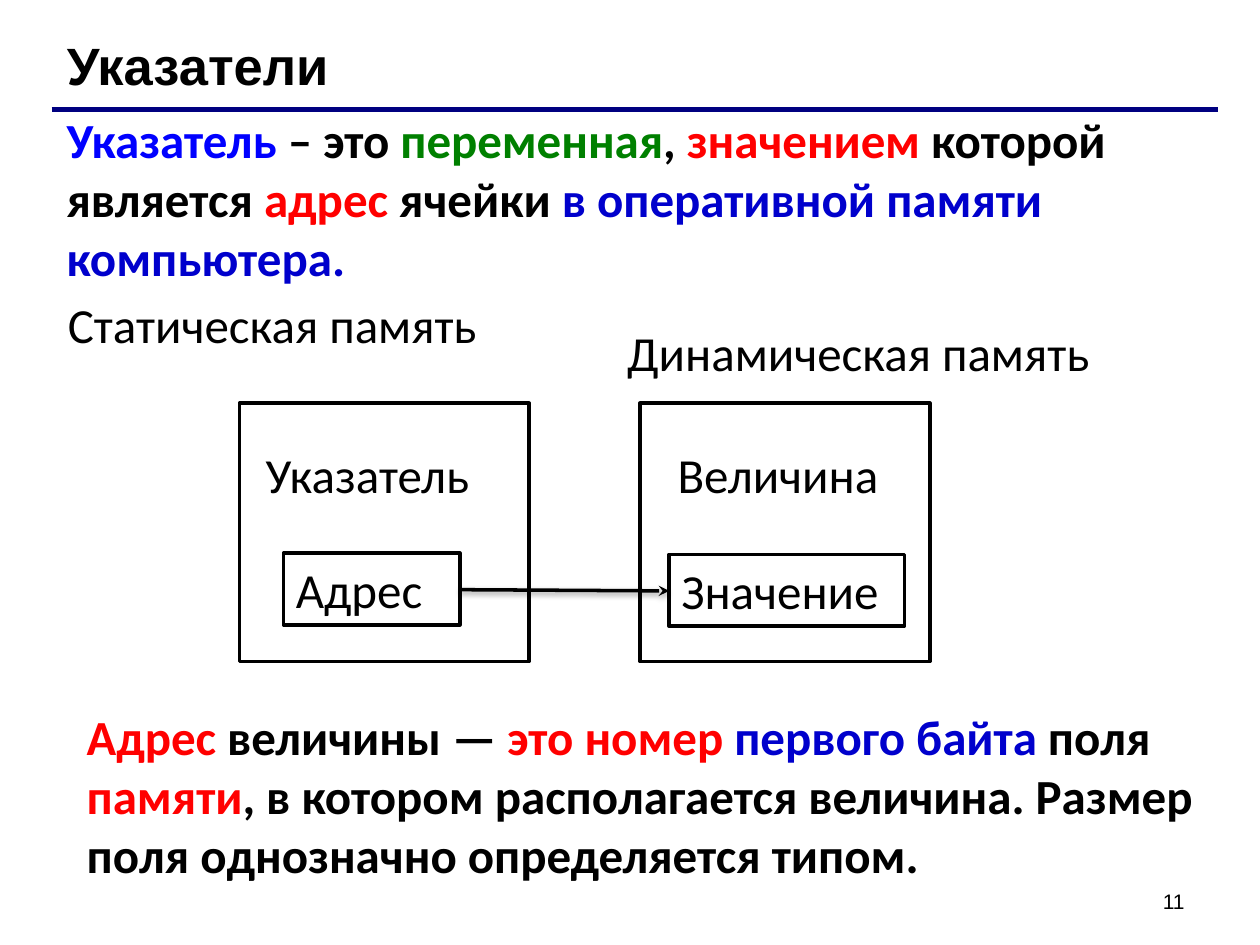
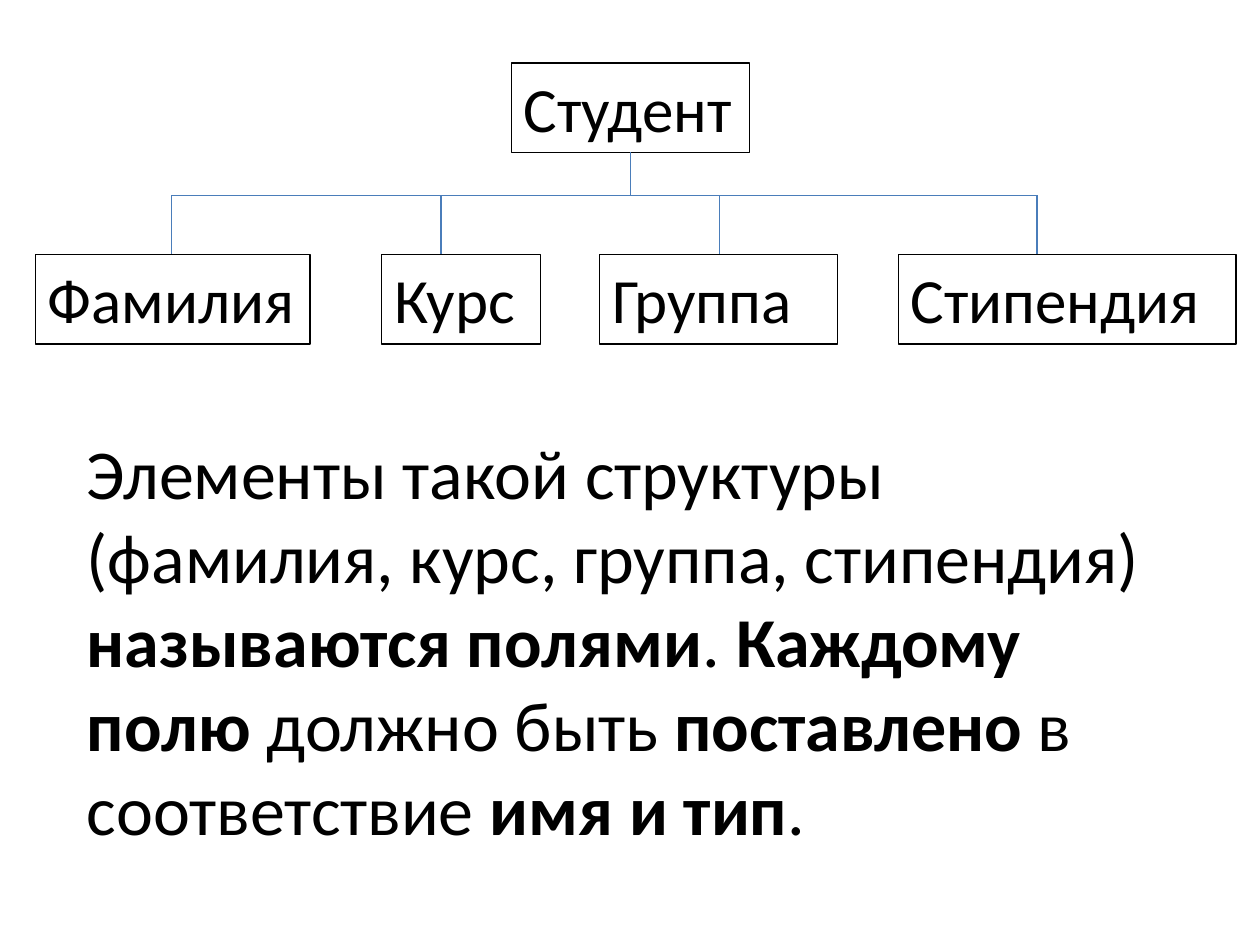
from collections import namedtuple

from lxml import etree
from pptx import Presentation
from pptx.dml.color import RGBColor
from pptx.enum.shapes import MSO_CONNECTOR, MSO_SHAPE
from pptx.enum.text import MSO_ANCHOR, PP_ALIGN
from pptx.oxml import parse_xml
from pptx.oxml.ns import nsdecls, qn
from pptx.util import Inches, Pt

STRAIGHT = MSO_CONNECTOR.STRAIGHT
RECTANGLE = MSO_SHAPE.RECTANGLE
TOP, MIDDLE = MSO_ANCHOR.TOP, MSO_ANCHOR.MIDDLE
LEFT, RIGHT = PP_ALIGN.LEFT, PP_ALIGN.RIGHT

BLACK = RGBColor(0, 0, 0)
WHITE = RGBColor(255, 255, 255)
NAVY = RGBColor(0, 0, 0x80)
BLUE = RGBColor(0, 0, 255)
DARK_BLUE = RGBColor(0, 0, 0xCC)
GREEN = RGBColor(0, 0x80, 0)
RED = RGBColor(255, 0, 0)
TREE_BLUE = RGBColor(0x4A, 0x7D, 0xBA)

HEAD_FONT, BODY_FONT = "Arial", "Calibri"
TITLE_ONLY, BLANK = 5, 6

# A span is a stretch of text with one colour and weight.
Span = namedtuple("Span", "text color bold", defaults=(BLACK, False))


class Box(namedtuple("Box", "left top width height")):
    def inner(self, left, top, width, height):
        """A box placed relative to this one's top left corner."""
        return Box(self.left + left, self.top + top, width, height)

    def inches(self):
        return [Inches(length) for length in self]


def bold(text, color=BLACK):
    return Span(text, color, True)


def write(frame, paragraphs, size, font=BODY_FONT, align=LEFT, anchor=TOP, hanging=0):
    """Fill a text frame with paragraphs, each a list of spans."""
    frame.word_wrap = True
    frame.vertical_anchor = anchor
    for index, spans in enumerate(paragraphs):
        para = frame.add_paragraph() if index else frame.paragraphs[0]
        para.alignment = align
        if hanging:
            properties = para._p.get_or_add_pPr()
            properties.set("marL", str(Inches(hanging)))
            properties.set("indent", str(-Inches(hanging)))
        for span in spans:
            run = para.add_run()
            run.text = span.text
            run.font.name = font
            run.font.size = Pt(size)
            run.font.bold = span.bold
            run.font.color.rgb = span.color


def add_text(page, box, paragraphs, size, **style):
    write(page.shapes.add_textbox(*box.inches()).text_frame, paragraphs, size, **style)


def add_frame(page, box, weight, fill=None, text="", size=28):
    shape = page.shapes.add_shape(RECTANGLE, *box.inches())
    shape.shadow.inherit = False
    shape.line.color.rgb = BLACK
    shape.line.width = Pt(weight)
    if fill is None:
        shape.fill.background()
    else:
        shape.fill.solid()
        shape.fill.fore_color.rgb = fill
    if text:
        write(shape.text_frame, [[Span(text)]], size)


def add_line(page, start, end, color, weight):
    line = page.shapes.add_connector(STRAIGHT, *map(Inches, start + end))
    line.line.color.rgb = color
    line.line.width = Pt(weight)
    etree.SubElement(line._element.spPr, qn("a:effectLst"))
    return line


def add_arrow(page, start, end):
    """Draw a stealth-headed arrow with a soft shadow below."""
    arrow = add_line(page, start, end, BLACK, 2)
    etree.SubElement(arrow.line._get_or_add_ln(), qn("a:tailEnd"), type="stealth")
    arrow._element.spPr.find(qn("a:effectLst")).append(parse_xml(
        f'<a:outerShdw {nsdecls("a")} blurRad="40000" dist="20000" dir="5400000" '
        'rotWithShape="0"><a:srgbClr val="000000"><a:alpha val="38000"/>'
        '</a:srgbClr></a:outerShdw>'))


def add_header(page, box, text):
    title = page.shapes.title
    title.left, title.top, title.width, title.height = box.inches()
    write(title.text_frame, [[bold(text)]], 30, font=HEAD_FONT)
    rule_y = box.top + 0.66
    add_line(page, (0.41, rule_y), (9.67, rule_y), NAVY, 3)


def add_memory(page, box, caption, caption_box, name, name_box, cell, cell_box):
    """Draw one memory block; its parts are placed relative to the block."""
    add_frame(page, box, 2, WHITE)
    for text, part in ((caption, caption_box), (name, name_box)):
        add_text(page, box.inner(*part), [[Span(text)]], 28)
    cell_area = box.inner(*cell_box)
    add_frame(page, cell_area, 2, WHITE, cell)
    return cell_area


def add_memory_diagram(page, box):
    static = add_memory(
        page, box.inner(0, 0, 2.3, 2.05),
        "Статическая память", (-1.46, -0.91, 3.45, 0.57),
        "Указатель", (0.11, 0.28, 2.08, 0.57),
        "Адрес", (0.35, 1.19, 1.4, 0.57))
    dynamic = add_memory(
        page, box.inner(3.18, 0, 2.3, 2.05),
        "Динамическая память", (-0.2, -0.69, 4.03, 0.57),
        "Величина", (0.2, 0.28, 1.9, 0.57),
        "Значение", (0.23, 1.2, 1.87, 0.57))
    add_arrow(page, (static.left + static.width, static.top + 0.29),
              (dynamic.left, dynamic.top + 0.29))


def add_pointer_page(deck):
    page = deck.slides.add_slide(deck.slide_layouts[TITLE_ONLY])
    add_header(page, Box(0.43, 0.21, 8.9, 0.6), "Указатели")
    definition = [
        [bold("Указатель ", BLUE), bold("– это "), bold("переменная", GREEN),
         bold(", "), bold("значением", RED), bold(" которой")],
        [bold("является "), bold("адрес", RED), bold(" ячейки "),
         bold("в оперативной памяти", DARK_BLUE)],
        [bold("компьютера.", DARK_BLUE)],
    ]
    add_text(page, Box(0.43, 0.82, 9.45, 1.5), definition, 28, hanging=0.39)
    add_memory_diagram(page, Box(1.9, 3.2, 5.48, 2.05))
    address = [
        bold("Адрес", RED), bold(" величины — "), bold("это номер ", RED),
        bold("первого байта", DARK_BLUE), bold(" поля "), bold("памяти", RED),
        bold(", в котором располагается величина. "
             "Размер поля однозначно определяется типом."),
    ]
    add_text(page, Box(0.59, 5.56, 9.13, 1.51), [address], 28)
    add_text(page, Box(7.17, 6.95, 2.33, 0.4), [[Span("11")]], 12,
             font=HEAD_FONT, align=RIGHT, anchor=MIDDLE)


def add_record_tree(page, box):
    """Draw the record above its fields, joined by a common bar."""
    node_height, bar_drop, field_drop = 0.71, 1.05, 1.52
    # Field name, left edge, width and place of the branch, from the box's left.
    fields = [("Фамилия", 0, 2.18, 1.08), ("Курс", 2.75, 1.26, 3.22),
              ("Группа", 4.48, 1.89, 5.43), ("Стипендия", 6.85, 2.68, 7.95)]
    record = box.inner(3.78, 0, 1.89, node_height)
    add_frame(page, record, 0.75, text="Студент", size=36)

    center = record.left + record.width / 2
    bar_y, field_y = box.top + bar_drop, box.top + field_drop
    branches = [box.left + field[3] for field in fields]
    add_line(page, (center, record.top + node_height), (center, bar_y), TREE_BLUE, 0.75)
    add_line(page, (branches[0], bar_y), (branches[-1], bar_y), TREE_BLUE, 0.75)
    for (name, left, width, _), branch in zip(fields, branches):
        add_frame(page, box.inner(left, field_drop, width, node_height), 0.75,
                  text=name, size=36)
        add_line(page, (branch, bar_y), (branch, field_y), TREE_BLUE, 0.75)


def add_record_page(deck):
    page = deck.slides.add_slide(deck.slide_layouts[BLANK])
    explanation = [
        Span("Элементы такой структуры (фамилия, курс, группа, стипендия) "),
        bold("называются полями"), Span(". "), bold("Каждому полю "),
        Span("должно быть "), bold("поставлено"), Span(" в соответствие "),
        bold("имя и тип"), Span("."),
    ]
    add_text(page, Box(0.59, 3.36, 8.98, 3.47), [explanation], 40)
    add_record_tree(page, Box(0.28, 0.5, 9.53, 2.23))


def main():
    deck = Presentation()
    deck.slide_width, deck.slide_height = Inches(10), Inches(7.5)
    add_pointer_page(deck)
    add_record_page(deck)
    deck.save("out.pptx")


if __name__ == "__main__":
    main()
